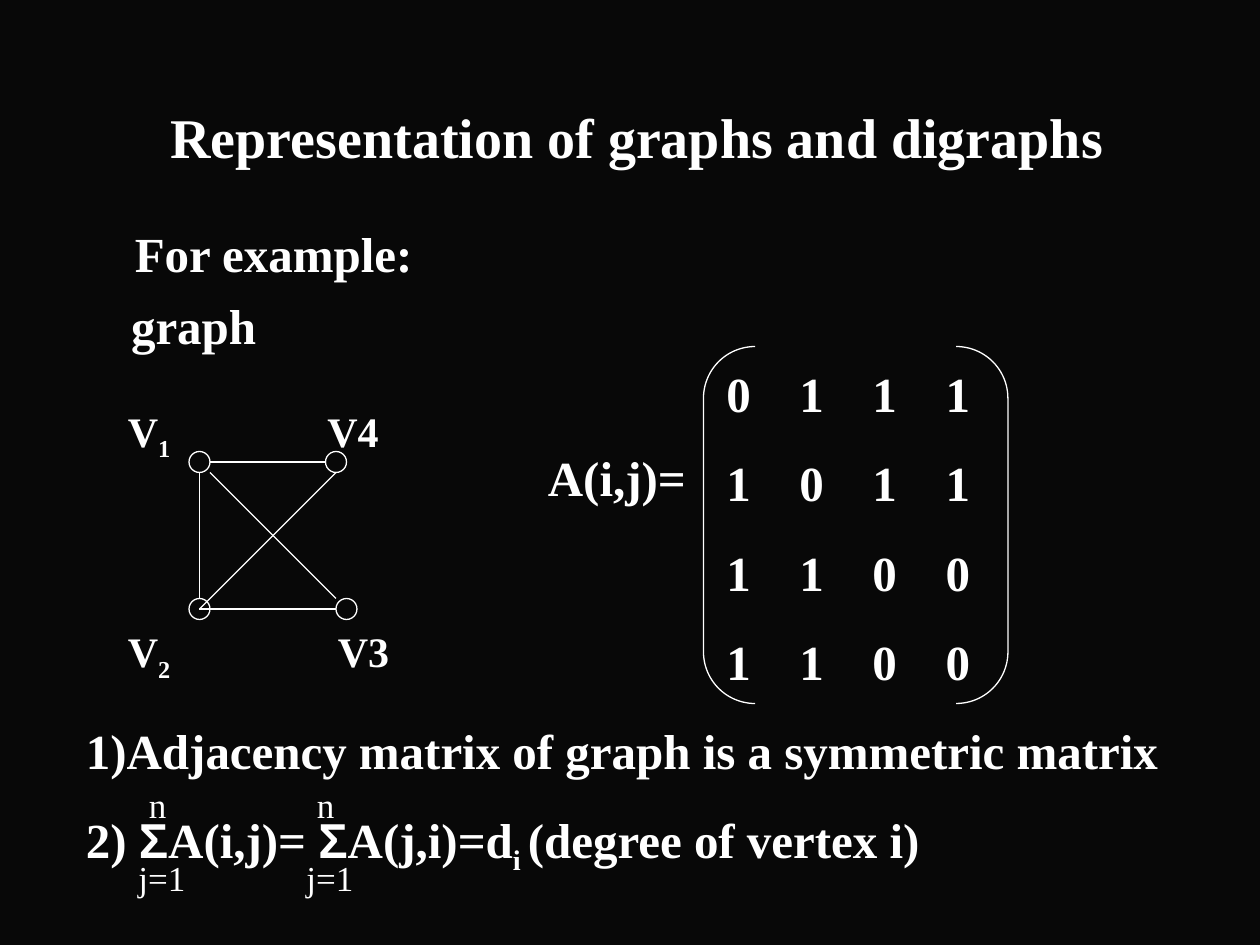
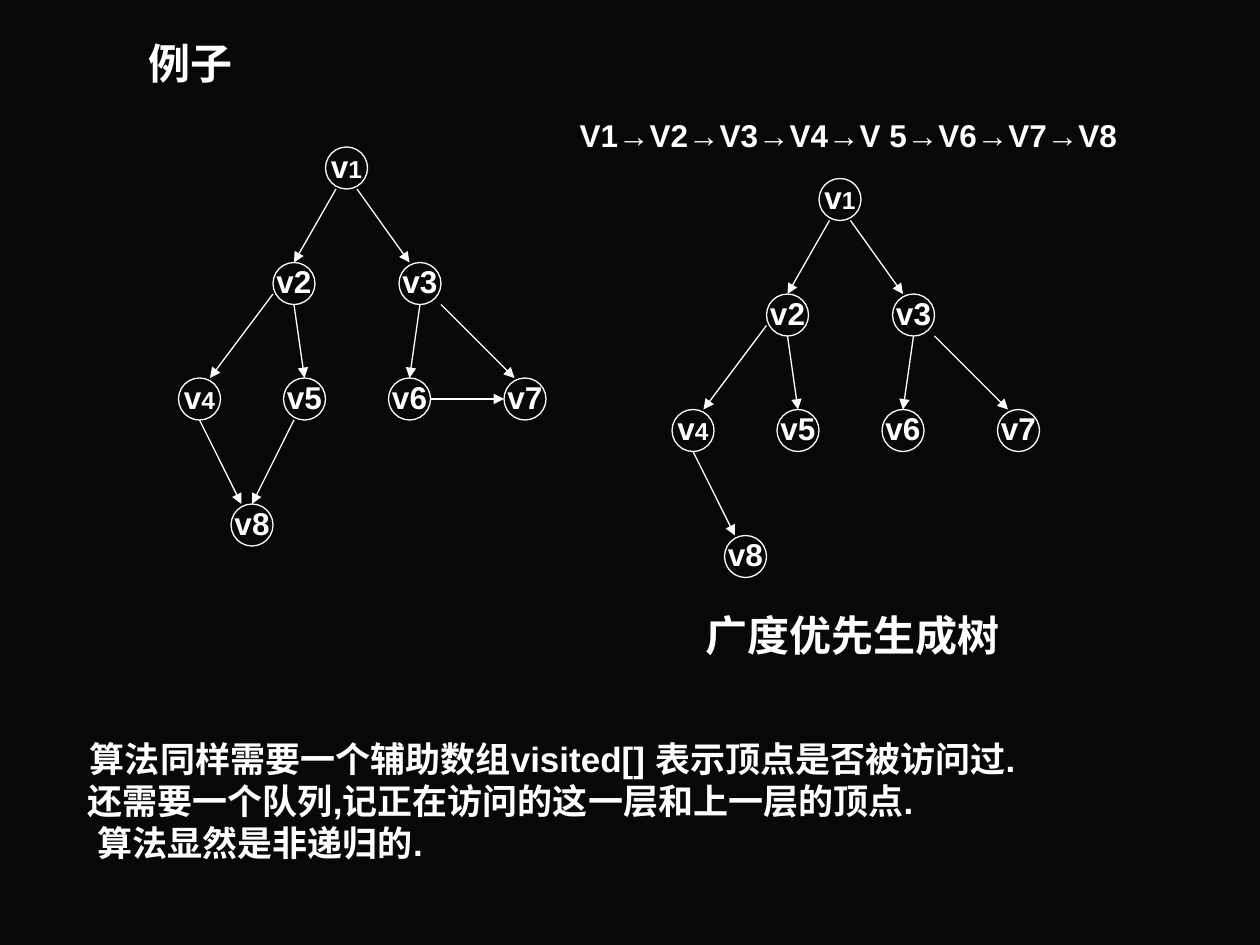
from lxml.etree import SubElement
from pptx import Presentation
from pptx.dml.color import RGBColor
from pptx.enum.shapes import MSO_CONNECTOR, MSO_SHAPE
from pptx.enum.text import MSO_ANCHOR, MSO_AUTO_SIZE, PP_ALIGN
from pptx.oxml.ns import qn
from pptx.util import Inches, Pt

BACKGROUND, INK = "080808", "FFFFFF"
SERIF, SANS = "Times New Roman", "Arial"
COLUMNS, ROWS = 120, 90
WIDTH, HEIGHT = Inches(10), Inches(7.5)

TITLE = "Representation of graphs and digraphs"
INTRO = [("For example:", 0.22), ("graph", 0.19)]
SUBSCRIPT = {"baseline": "-25000"}
SIGMA = ("Σ", {"font": SANS})

VERTICES = [(18, 43), (18, 57), (32, 57), (31, 43)]
VERTEX_SIZE = 2
GRAPH_EDGES = [
    ((20, 44), (31, 44)),
    ((19, 45), (19, 57)),
    ((20, 45), (32, 57)),
    ((32, 45), (19, 58)),
    ((19, 58), (32, 58)),
]
VERTEX_LABELS = [
    (["V", ("1", SUBSCRIPT)], (11, 38, 7, 6)),
    (["V", ("2", SUBSCRIPT)], (11, 59, 10, 6)),
    (["V3"], (31, 59, 11, 6)),
    (["V4"], (30, 38, 15, 6)),
]
MATRIX = [(0, 1, 1, 1), (1, 0, 1, 1), (1, 1, 0, 0), (1, 1, 0, 0)]
MATRIX_PITCH = 0.58
PROPERTIES = [
    ["1)Adjacency matrix of graph is a symmetric matrix"],
    ["2) ", SIGMA, "A(i,j)= ", SIGMA, "A(j,i)=d", ("i ", SUBSCRIPT),
     "(degree of vertex i)"],
]
SUM_COLUMNS = [12, 28]

EXAMPLE = "例子"
NODE_SIZE = 4
SMALL_DIGIT = {"size": 14}
NODES = {
    "v1": (31, 14), "v2": (26, 25), "v6": (37, 36), "v5": (27, 36),
    "v4": (17, 36), "v3": (38, 25), "v8": (22, 48), "v7": (48, 36),
}
SMALL_DIGIT_NODES = {"v1", "v4"}
TREE_EDGES = [
    ("v1", (3, 4), "v3", (1, 0)),
    ("v1", (1, 4), "v2", (2, 0)),
    ("v2", (0, 3), "v4", (3, 0)),
    ("v2", (2, 4), "v5", (2, 0)),
    ("v3", (2, 4), "v6", (2, 0)),
    ("v3", (4, 4), "v7", (1, 0)),
    ("v4", (2, 4), "v8", (1, 0)),
]
OTHER_EDGES = [
    ("v5", (1, 4), "v8", (2, 0)),
    ("v6", (4, 2), "v7", (0, 2)),
]
TREE_SHIFT = (47, 3)
VISIT_ORDER = "V1→V2→V3→V4→V 5→V6→V7→V8"
TREE_CAPTION = "广度优先生成树"
REMARKS = [
    ("算法同样需要一个辅助数组visited[] 表示顶点是否被访问过.", 0.09),
    ("还需要一个队列,记正在访问的这一层和上一层的顶点.", 0.07),
    ("算法显然是非递归的.", 0.15),
]


def color(value):
    return RGBColor.from_string(value)


def grid(column, row):
    return round(WIDTH * column / COLUMNS), round(HEIGHT * row / ROWS)


def area(place):
    return *grid(*place[:2]), *grid(*place[2:])


def move(box, place):
    box.left, box.top, box.width, box.height = area(place)


def set_tabs(properties, pitch, count):
    properties.set("defTabSz", str(Inches(pitch)))
    stops = SubElement(properties, qn("a:tabLst"))
    for step in range(1, count + 1):
        SubElement(stops, qn("a:tab"), pos=str(Inches(pitch * step)), algn="l")


def write(frame, lines, size, font=SERIF, bold=True, before=0, align=PP_ALIGN.LEFT,
          spacing=None, margins=(), tab_pitch=None):
    for index, spans in enumerate(lines):
        para = frame.paragraphs[0] if index == 0 else frame.add_paragraph()
        para.alignment = align
        para.space_before = Pt(before)
        if spacing:
            para.line_spacing = spacing
        properties = para._p.get_or_add_pPr()
        properties.set("marL", str(Inches(margins[index] if margins else 0)))
        properties.set("indent", "0")
        SubElement(properties, qn("a:buNone"))
        if tab_pitch:
            set_tabs(properties, tab_pitch, len(MATRIX) - 1)
        changes = [span[1] if isinstance(span, tuple) else {} for span in spans]
        for span in spans:
            para.add_run().text = span[0] if isinstance(span, tuple) else span
        targets = [(para.font, {})]
        targets += [(run.font, change) for run, change in zip(para.runs, changes)]
        for target, change in targets:
            target.size = Pt(change.get("size", size))
            target.name = change.get("font", font)
            target.bold = bold
            target.color.rgb = color(INK)
        for run, change in zip(para.runs, changes):
            if "baseline" in change:
                run._r.get_or_add_rPr().set("baseline", change["baseline"])


def add_text(shapes, place, lines, size, wrap=True, anchor=MSO_ANCHOR.TOP, **style):
    frame = shapes.add_textbox(*area(place)).text_frame
    frame.word_wrap = wrap
    frame.auto_size = MSO_AUTO_SIZE.SHAPE_TO_FIT_TEXT
    frame.vertical_anchor = anchor
    write(frame, lines, size, **style)


def add_outline(shapes, kind, place):
    shape = shapes.add_shape(kind, *area(place))
    shape.shadow.inherit = False
    shape.fill.background()
    shape.line.color.rgb = color(INK)
    shape.line.width = Pt(0.75)
    return shape


def add_line(shapes, start, end, arrow=False):
    line = shapes.add_connector(MSO_CONNECTOR.STRAIGHT, *grid(*start), *grid(*end))
    line.line.color.rgb = color(INK)
    line.line.width = Pt(0.75)
    properties = line._element.spPr
    if arrow:
        SubElement(properties.find(qn("a:ln")), qn("a:tailEnd"), type="triangle")
    SubElement(properties, qn("a:effectLst"))


def fill_placeholder(box, place, lines, size, **style):
    move(box, place)
    box.text_frame.auto_size = MSO_AUTO_SIZE.NONE
    write(box.text_frame, lines, size, **style)


def add_tree(page, edges, shift=(0, 0)):
    shapes = page.shapes.add_group_shape().shapes

    def spot(name, offset=(0, 0)):
        return tuple(map(sum, zip(NODES[name], offset, shift)))

    for name in NODES:
        circle = add_outline(shapes, MSO_SHAPE.OVAL, (*spot(name), NODE_SIZE, NODE_SIZE))
        frame = circle.text_frame
        frame.word_wrap = False
        frame.vertical_anchor = MSO_ANCHOR.MIDDLE
        small = name in SMALL_DIGIT_NODES
        spans = [name[0], (name[1], SMALL_DIGIT)] if small else [name]
        write(frame, [spans], 18, font=SANS, before=3.5 if small else 4.5,
              align=PP_ALIGN.CENTER, spacing=0.9)
    for source, leave, target, arrive in edges:
        add_line(shapes, spot(source, leave), spot(target, arrive), arrow=True)


def build_matrix_page(deck):
    page = deck.slides.add_slide(deck.slide_layouts[1])
    title, body = page.placeholders
    fill_placeholder(title, (9.7, 8, 102, 10), [[TITLE]], 32, align=PP_ALIGN.CENTER)
    fill_placeholder(body, (9, 20, 102, 53.8), [[text] for text, _ in INTRO], 28,
                     before=7.5, margins=[margin for _, margin in INTRO])
    body.text_frame.margin_top = Inches(0.11)

    graph = page.shapes.add_group_shape().shapes
    for vertex in VERTICES:
        add_outline(graph, MSO_SHAPE.OVAL, (*vertex, VERTEX_SIZE, VERTEX_SIZE))
    for start, end in GRAPH_EDGES:
        add_line(graph, start, end)
    for spans, place in VERTEX_LABELS:
        add_text(graph, place, [spans], 24, before=15)

    matrix = page.shapes.add_group_shape().shapes
    add_text(matrix, (51, 42, 20, 6.8), [["A(i,j)="]], 28, before=17.5)
    bracket = add_outline(matrix, MSO_SHAPE.DOUBLE_BRACKET, (67, 33, 29, 34))
    bracket.adjustments[0] = 0.17
    add_text(matrix, (68, 34, 30, 32.4), [["\t".join(map(str, row))] for row in MATRIX],
             28, before=17.5, tab_pitch=MATRIX_PITCH)

    add_text(page.shapes, (7, 68, 109, 16), PROPERTIES, 28, before=17.5)
    for column in SUM_COLUMNS:
        for text, place in (("n", (column + 1, 74, 5, 5.2)), ("j=1", (column, 81, 9, 5.2))):
            add_text(page.shapes, place, [[text]], 20, bold=False, before=12.5)


def build_tree_page(deck):
    page = deck.slides.add_slide(deck.slide_layouts[1])
    title, body = page.placeholders
    title._element.getparent().remove(title._element)
    fill_placeholder(body, (12, 3, 102, 70), [[EXAMPLE]], 24, before=6, margins=[0.08])
    add_tree(page, TREE_EDGES + OTHER_EDGES)
    add_tree(page, TREE_EDGES, TREE_SHIFT)
    centred = dict(wrap=False, anchor=MSO_ANCHOR.MIDDLE, align=PP_ALIGN.CENTER, spacing=0.9)
    add_text(page.shapes, (6.3, 69.2, 94, 14), [[text] for text, _ in REMARKS], 20,
             wrap=False, anchor=MSO_ANCHOR.MIDDLE, font=SANS,
             margins=[margin for _, margin in REMARKS])
    add_text(page.shapes, (66, 58, 30.4, 5.5), [[TREE_CAPTION]], 24, before=15, **centred)
    add_text(page.shapes, (52.8, 10.9, 56, 4.4), [[VISIT_ORDER]], 18, font=SANS,
             before=11.2, **centred)


def main():
    deck = Presentation()
    deck.slide_width, deck.slide_height = WIDTH, HEIGHT
    backdrop = deck.slide_master.background.fill
    backdrop.solid()
    backdrop.fore_color.rgb = color(BACKGROUND)
    build_matrix_page(deck)
    build_tree_page(deck)
    deck.save("out.pptx")


if __name__ == "__main__":
    main()
